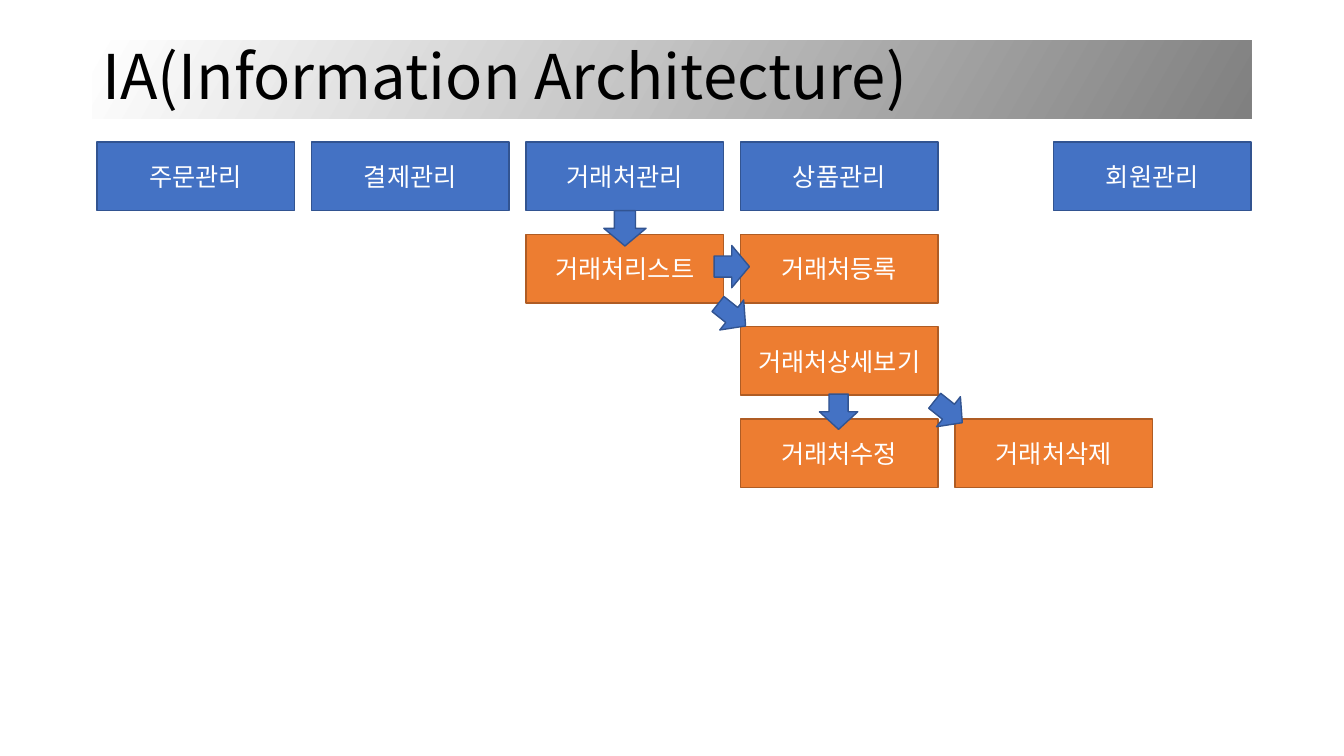
from lxml import etree
from pptx import Presentation
from pptx.dml.color import RGBColor
from pptx.enum import shapes, text
from pptx.oxml.ns import qn
from pptx.util import Pt

FONT = "Noto Sans CJK KR"
BLUE, BLUE_EDGE = "4472C4", "325491"
ORANGE, ORANGE_EDGE = "ED7D31", "AF5C24"
LEFT, TOP, COLUMN_STEP, ROW_STEP = 69.3, 101.5, 153.2, 65.9
BOX_WIDTH, BOX_HEIGHT = 141.1, 49
MEMBER_COLUMN = 4.46  # set apart from the regular columns

MENUS = [("주문관리", 0), ("결제관리", 1), ("거래처관리", 2),
         ("상품관리", 3), ("회원관리", MEMBER_COLUMN)]
# label, column, row
PAGES = [("거래처등록", 3, 1), ("거래처상세보기", 3, 2), ("거래처수정", 3, 3),
         ("거래처삭제", 4, 3), ("거래처리스트", 2, 1)]
# center x, center y, width, rotation
ARROWS = [(522.7, 190.4, 30.2, 270), (522.7, 225, 27.4, 308.5),
          (446.4, 163.1, 30.2, 0), (599, 294.1, 27.4, 0),
          (677.5, 294.1, 27.4, 308.5)]
ARROW_HEIGHT = 25.2


def color(value):
    """Turn a hex string into a color."""
    return RGBColor.from_string(value)


class SlideBuilder:
    """Hold the text style and the slide being built."""

    def __init__(self, slide, font):
        """Keep the slide and its font."""
        self.slide = slide
        self.font = font

    def shape(self, kind, left, top, width, height, fill=None, edge=None):
        """Add a preset shape with optional solid fill and outline."""
        shape = self.slide.shapes.add_shape(
            kind, Pt(left), Pt(top), Pt(width), Pt(height))
        shape.shadow.inherit = False
        if fill:
            shape.fill.solid()
            shape.fill.fore_color.rgb = color(fill)
        if edge:
            shape.line.color.rgb = color(edge)
            shape.line.width = Pt(1)
        else:
            shape.line.fill.background()
        return shape

    def label(self, shape, wording, size, ink, **paragraph_format):
        """Put one vertically centered paragraph into a shape."""
        frame = shape.text_frame
        frame.word_wrap = True
        frame.vertical_anchor = text.MSO_ANCHOR.MIDDLE
        paragraph = frame.paragraphs[0]
        for name, value in paragraph_format.items():
            setattr(paragraph, name, value)
        run = paragraph.add_run()
        run.text = wording
        for name, value in {"name": self.font, "size": Pt(size)}.items():
            setattr(run.font, name, value)
        run.font.color.rgb = color(ink)
        properties = run._r.get_or_add_rPr()
        east_asian = etree.SubElement(properties, qn("a:ea"))
        east_asian.set("typeface", self.font)

    def title(self, wording):
        """Add the title bar with its diagonal gradient."""
        bar = self.shape(shapes.MSO_SHAPE.RECTANGLE, 66, 28.8, 828, 56.2)
        bar.fill.gradient()
        bar.fill.gradient_angle = 330
        stops = zip(bar.fill.gradient_stops, (0, 1), ("FFFFFF", "808080"))
        for stop, position, shade in stops:
            stop.position = position
            stop.color.rgb = color(shade)
        self.label(bar, wording, 44, "000000", line_spacing=0.9,
                   alignment=text.PP_ALIGN.LEFT)

    def box(self, wording, column, row, fill, edge):
        """Add a labelled box at a grid position."""
        box = self.shape(shapes.MSO_SHAPE.RECTANGLE,
                         LEFT + column * COLUMN_STEP, TOP + row * ROW_STEP,
                         BOX_WIDTH, BOX_HEIGHT, fill, edge)
        self.label(box, wording, 18, "FFFFFF", alignment=text.PP_ALIGN.CENTER)

    def arrow(self, center_x, center_y, width, rotation):
        """Add a block arrow around a center point."""
        arrow = self.shape(shapes.MSO_SHAPE.DOWN_ARROW,
                           center_x - width / 2, center_y - ARROW_HEIGHT / 2,
                           width, ARROW_HEIGHT, BLUE, BLUE_EDGE)
        arrow.rotation = rotation


def main():
    """Build and save the presentation."""
    presentation = Presentation()
    presentation.slide_width, presentation.slide_height = Pt(960), Pt(540)
    slide = presentation.slides.add_slide(presentation.slide_layouts[6])
    builder = SlideBuilder(slide, FONT)
    builder.title("IA(Information Architecture)")
    for wording, column in MENUS:
        builder.box(wording, column, 0, BLUE, BLUE_EDGE)
    for wording, column, row in PAGES:
        builder.box(wording, column, row, ORANGE, ORANGE_EDGE)
    for arrow in ARROWS:
        builder.arrow(*arrow)
    presentation.save("out.pptx")


main()
